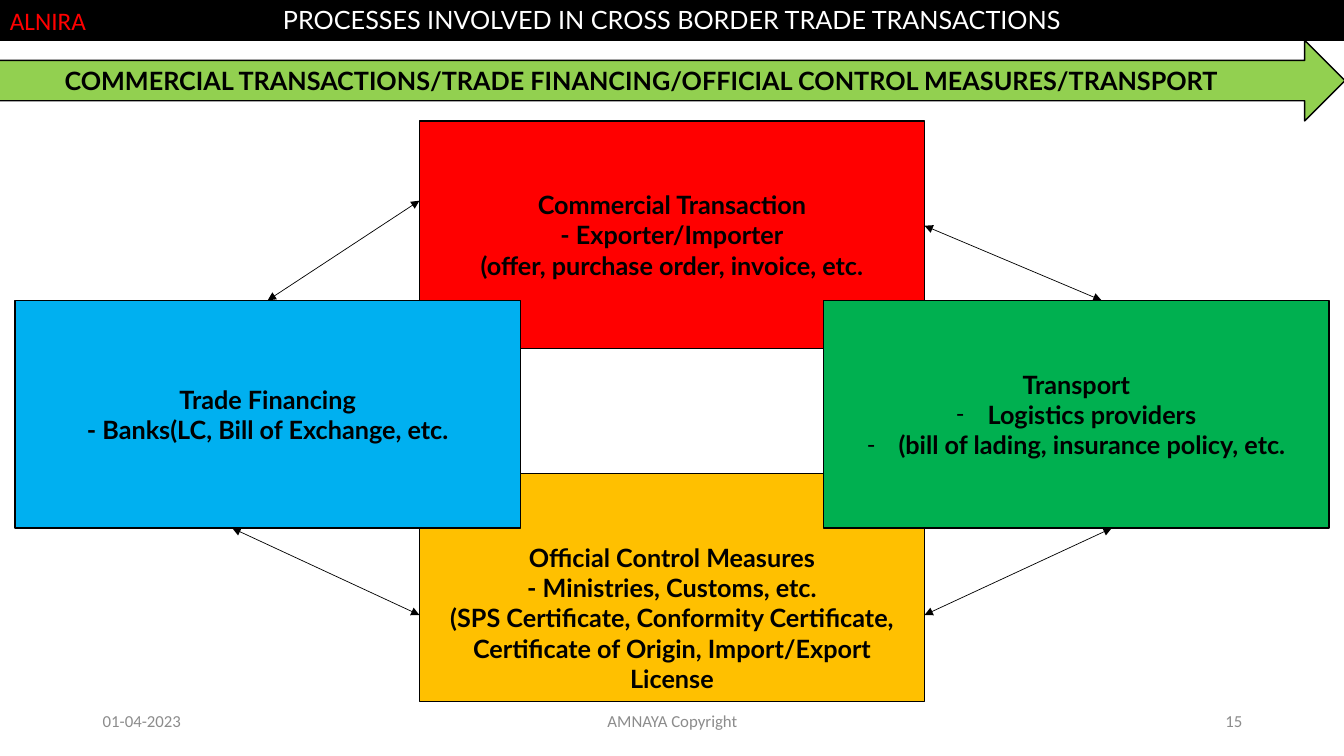
from dataclasses import dataclass

from lxml import etree
from pptx import Presentation
from pptx import util as u
from pptx.dml.color import RGBColor
from pptx.enum import shapes, text
from pptx.oxml import ns


@dataclass(frozen=True)
class Theme:
    """Colours, fonts and type sizes of the slide."""
    black: str = "000000"
    white: str = "FFFFFF"
    red: str = "FF0000"
    amber: str = "FFC000"
    blue: str = "00B0F0"
    green: str = "00B050"
    lime: str = "92D050"
    grey: str = "8C8C8C"
    heading_font: str = "Lato"
    body_font: str = "Calibri"
    body_size: int = 18
    footer_size: int = 12


@dataclass(frozen=True)
class Box:
    """A rectangle in inches."""
    left: float
    top: float
    width: float
    height: float

    def lengths(self):
        """Return the four sides as slide lengths."""
        return [u.Inches(side) for side in (self.left, self.top, self.width, self.height)]

    def point(self, across, down):
        """Return the point at the given fractions of the box."""
        return u.Inches(self.left + across * self.width), u.Inches(self.top + down * self.height)


THEME = Theme()
ALIGN = text.PP_ALIGN
CARD_WIDTH, CARD_HEIGHT = 5.01, 2.26
CARDS = {
    "commercial": (4.16, 1.2, THEME.red, 0, [
        "Commercial Transaction",
        "- Exporter/Importer",
        "(offer, purchase order, invoice, etc."], []),
    "control": (4.16, 4.7, THEME.amber, 0.6, [
        "Official Control Measures",
        "- Ministries, Customs, etc.",
        "(SPS Certificate, Conformity Certificate, Certificate of Origin, Import/Export License"], []),
    "financing": (0.15, 2.98, THEME.blue, 0, [
        "Trade Financing",
        "- Banks(LC, Bill of Exchange, etc."], []),
    "transport": (8.17, 2.98, THEME.green, 0, ["Transport"], [
        "Logistics providers",
        "(bill of lading, insurance policy, etc."]),
}
LINKS = [
    ("commercial", (1, 0.46), "transport", (0.55, 0)),
    ("financing", (0.43, 1), "control", (0, 0.62)),
    ("commercial", (0, 0.35), "financing", (0.5, 0)),
    ("control", (1, 0.62), "transport", (0.57, 1)),
]


def write(para, words, colour, font=THEME.heading_font, size=THEME.body_size, bold=False,
          align=ALIGN.CENTER):
    """Add one formatted run to a paragraph."""
    para.alignment = align
    span = para.add_run()
    span.text = words
    span.font.name = font
    span.font.size = u.Pt(size)
    span.font.bold = bold
    span.font.color.rgb = RGBColor.from_string(colour)


def add_dash(para):
    """Give a paragraph a hanging dash bullet."""
    props = para._p.get_or_add_pPr()
    props.set("marL", str(u.Inches(0.31)))
    props.set("indent", str(-u.Inches(0.31)))
    etree.SubElement(props, ns.qn("a:buFont")).set("typeface", THEME.body_font)
    etree.SubElement(props, ns.qn("a:buChar")).set("char", "-")


def paint(shape, colour):
    """Set a solid fill and a thin black outline."""
    shape.fill.solid()
    shape.fill.fore_color.rgb = RGBColor.from_string(colour)
    shape.line.color.rgb = RGBColor.from_string(THEME.black)
    shape.line.width = u.Pt(1)


def add_title(page, box):
    """Place the title as a black band."""
    title = page.shapes.title
    title.left, title.top, title.width, title.height = box.lengths()
    paint(title, THEME.black)
    frame = title.text_frame
    frame.auto_size = text.MSO_AUTO_SIZE.NONE
    frame.vertical_anchor = text.MSO_ANCHOR.MIDDLE
    write(frame.paragraphs[0], "PROCESSES INVOLVED IN CROSS BORDER TRADE TRANSACTIONS", THEME.white)


def add_block(page, box, preset, colour, lines, dashes=(), drop=0):
    """Add a filled shape with bold centred lines, then dashed ones."""
    shape = page.shapes.add_shape(preset, *box.lengths())
    shape.shadow.inherit = False
    paint(shape, colour)
    frame = shape.text_frame
    frame.word_wrap = True
    frame.vertical_anchor = text.MSO_ANCHOR.MIDDLE
    frame.margin_top = u.Inches(0.05 + drop)
    for index, words in enumerate([*lines, *dashes]):
        para = frame.add_paragraph() if index else frame.paragraphs[0]
        if index >= len(lines):
            add_dash(para)
        write(para, words, THEME.black, bold=True)


def add_label(page, box, words, colour, size, align=ALIGN.LEFT, wrap=True):
    """Add a one-line text box, which grows with its text when it does not wrap."""
    frame = page.shapes.add_textbox(*box.lengths()).text_frame
    frame.word_wrap = wrap
    frame.auto_size = text.MSO_AUTO_SIZE.NONE if wrap else text.MSO_AUTO_SIZE.SHAPE_TO_FIT_TEXT
    frame.vertical_anchor = text.MSO_ANCHOR.MIDDLE if wrap else text.MSO_ANCHOR.TOP
    write(frame.paragraphs[0], words, colour, THEME.body_font, size, align=align)


def add_footer(page, box):
    """Add the date, copyright line and page number."""
    entries = [
        (0, 3, "01-04-2023", ALIGN.LEFT),
        (3.5, 4.5, "AMNAYA Copyright", ALIGN.CENTER),
        (8.5, 3, "15", ALIGN.RIGHT),
    ]
    for offset, width, words, align in entries:
        place = Box(box.left + offset, box.top, width, box.height)
        add_label(page, place, words, THEME.grey, THEME.footer_size, align)


def add_link(page, start, end):
    """Join two points with a double-headed arrow."""
    link = page.shapes.add_connector(shapes.MSO_CONNECTOR.STRAIGHT, *start, *end)
    link.line.color.rgb = RGBColor.from_string(THEME.black)
    link.line.width = u.Pt(0.5)
    outline = link.line._get_or_add_ln()
    for tip in ("a:headEnd", "a:tailEnd"):
        etree.SubElement(outline, ns.qn(tip)).set("type", "triangle")
    etree.SubElement(link._element.spPr, ns.qn("a:effectLst"))


def add_process(page):
    """Add the four process cards and the arrows between them."""
    places = {}
    for name, (left, top, colour, drop, lines, dashes) in CARDS.items():
        places[name] = Box(left, top, CARD_WIDTH, CARD_HEIGHT)
        add_block(page, places[name], shapes.MSO_SHAPE.RECTANGLE, colour, lines, dashes, drop)
    for source, leave, target, arrive in LINKS:
        add_link(page, places[source].point(*leave), places[target].point(*arrive))


def main():
    """Build and save the slide."""
    deck = Presentation()
    deck.slide_width, deck.slide_height = u.Inches(13.33), u.Inches(7.5)
    page = deck.slides.add_slide(deck.slide_layouts[5])
    add_title(page, Box(0, -0.01, 13.33, 0.41))
    add_footer(page, Box(0.92, 6.95, 11.5, 0.4))
    add_label(page, Box(0, 0, 1.1, 0.4), "ALNIRA", THEME.red, THEME.body_size, wrap=False)
    add_block(page, Box(-0.42, 0.4, 13.76, 0.8), shapes.MSO_SHAPE.RIGHT_ARROW, THEME.lime,
              ["COMMERCIAL TRANSACTIONS/TRADE FINANCING/OFFICIAL CONTROL MEASURES/TRANSPORT"])
    add_process(page)
    deck.save("out.pptx")


if __name__ == "__main__":
    main()
